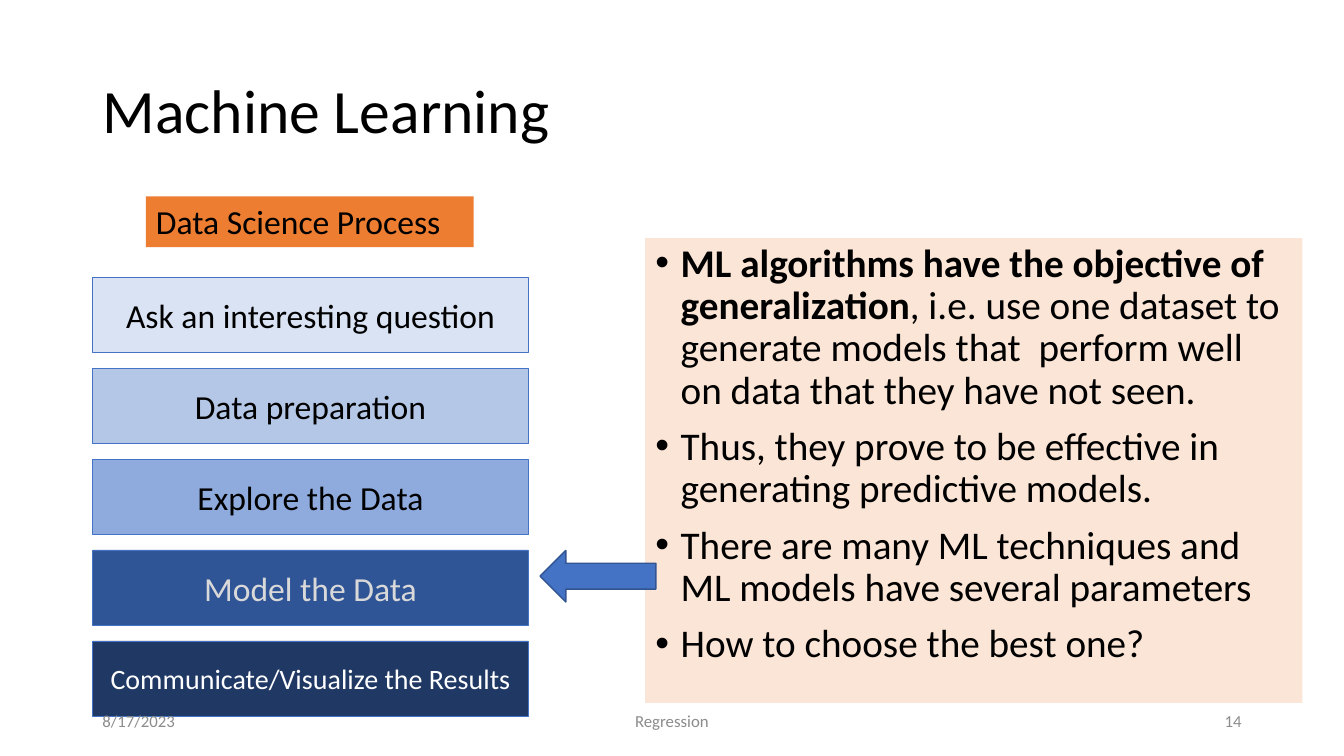
from lxml.etree import SubElement
from pptx import Presentation
from pptx.dml.color import RGBColor
from pptx.enum.shapes import MSO_SHAPE as Preset
from pptx.enum.text import MSO_ANCHOR as Anchor, MSO_AUTO_SIZE as AutoSize, PP_ALIGN as Align
from pptx.oxml.ns import qn
from pptx.util import Cm, Pt

COLORS = {
    "black": "000000", "white": "FFFFFF", "silver": "D9D9D9", "footer": "8C8C8C",
    "peach": "FBE5D6", "orange": "ED7D31", "blue": "4472C4", "arrow_edge": "325491",
    "ask": "DAE3F3", "prepare": "B4C7E7", "explore": "8FAADC",
    "model": "2F5597", "communicate": "203864",
}
STEPS = [
    ("Ask an interesting question", "ask", "black", 24),
    ("Data preparation", "prepare", "black", 24),
    ("Explore the Data", "explore", "black", 24),
    ("Model the Data", "model", "silver", 24),
    ("Communicate/Visualize the Results", "communicate", "white", 20),
]
POINTS = [
    [("ML algorithms have the objective of generalization", True),
     (", i.e. use one dataset to generate models that  perform well on data "
      "that they have not seen.", False)],
    [("Thus, they prove to be effective in generating predictive models.", False)],
    [("There are many ML techniques and ML models have several parameters", False)],
    [("How to choose the best one?", False)],
]
FOOTERS = [
    ("8/17/2023", 2.33, 7.62, Align.LEFT),
    ("Regression", 11.22, 11.43, Align.CENTER),
    ("14", 23.92, 7.62, Align.RIGHT),
]


class ProcessSlide:
    """Holds the text style and the slide that its methods draw on."""

    font = "Calibri"

    def __init__(self, deck):
        self.slide = deck.slides.add_slide(deck.slide_layouts[1])

    def color(self, name):
        return RGBColor.from_string(COLORS[name])

    def place(self, shape, left, top, width, height):
        shape.left, shape.top = Cm(left), Cm(top)
        shape.width, shape.height = Cm(width), Cm(height)

    def style(self, paragraph, size, color="black", align=Align.LEFT):
        paragraph.alignment = align
        paragraph.font.name = self.font
        paragraph.font.size = Pt(size)
        paragraph.font.color.rgb = self.color(color)

    def set_text(self, shape, text, size, color, align, anchor=Anchor.MIDDLE):
        frame = shape.text_frame
        frame.word_wrap = True
        frame.vertical_anchor = anchor
        frame.text = text
        self.style(frame.paragraphs[0], size, color, align)

    def title(self, text, *box):
        heading = self.slide.shapes.title
        self.place(heading, *box)
        self.set_text(heading, text, 44, "black", Align.LEFT)
        heading.text_frame.auto_size = AutoSize.NONE
        heading.text_frame.paragraphs[0].line_spacing = 0.9

    def bullets(self, points, *box):
        body = self.slide.placeholders[1]
        self.place(body, *box)
        body.fill.solid()
        body.fill.fore_color.rgb = self.color("peach")
        frame = body.text_frame
        frame.auto_size = AutoSize.NONE
        for index, runs in enumerate(points):
            paragraph = frame.add_paragraph() if index else frame.paragraphs[0]
            properties = paragraph._p.get_or_add_pPr()
            properties.set("marL", str(Cm(0.64)))
            properties.set("indent", str(-Cm(0.64)))
            SubElement(properties, qn("a:buFont"), typeface="Arial")
            SubElement(properties, qn("a:buChar"), char="•")
            paragraph.line_spacing = 0.9
            paragraph.space_before = Pt(10 if index else 0)
            self.style(paragraph, 28)
            for text, bold in runs:
                run = paragraph.add_run()
                run.text = text
                if bold:
                    run.font.bold = True

    def block(self, preset, fill, *box, line=None, weight=0.5):
        shape = self.slide.shapes.add_shape(preset, *map(Cm, box))
        shape.shadow.inherit = False
        shape.fill.solid()
        shape.fill.fore_color.rgb = self.color(fill)
        if line:
            shape.line.color.rgb = self.color(line)
            shape.line.width = Pt(weight)
        else:
            shape.line.fill.background()
        return shape

    def label(self, text, size, color, align, *box):
        self.set_text(self.slide.shapes.add_textbox(*map(Cm, box)), text, size, color, align)


def main():
    deck = Presentation()
    deck.slide_width, deck.slide_height = Cm(33.87), Cm(19.05)
    page = ProcessSlide(deck)
    page.title("Machine Learning", 2.33, 1.01, 29.21, 3.68)
    page.bullets(POINTS, 16.26, 6, 16.56, 11.71)
    for row, (text, fill, color, size) in enumerate(STEPS):
        step = page.block(Preset.RECTANGLE, fill, 2.34, 6.99 + 2.29 * row, 10.97, 1.9,
                          line="blue")
        page.set_text(step, text, size, color, Align.CENTER)
    process = page.block(Preset.RECTANGLE, "orange", 3.68, 4.95, 8.26, 1.28)
    page.set_text(process, "Data Science Process", 24, "black", Align.LEFT, Anchor.TOP)
    page.block(Preset.LEFT_ARROW, "blue", 13.61, 13.87, 2.92, 1.3,
               line="arrow_edge", weight=1)
    for text, left, width, align in FOOTERS:
        page.label(text, 12, "footer", align, left, 17.65, width, 1.01)
    deck.save("out.pptx")


if __name__ == "__main__":
    main()
